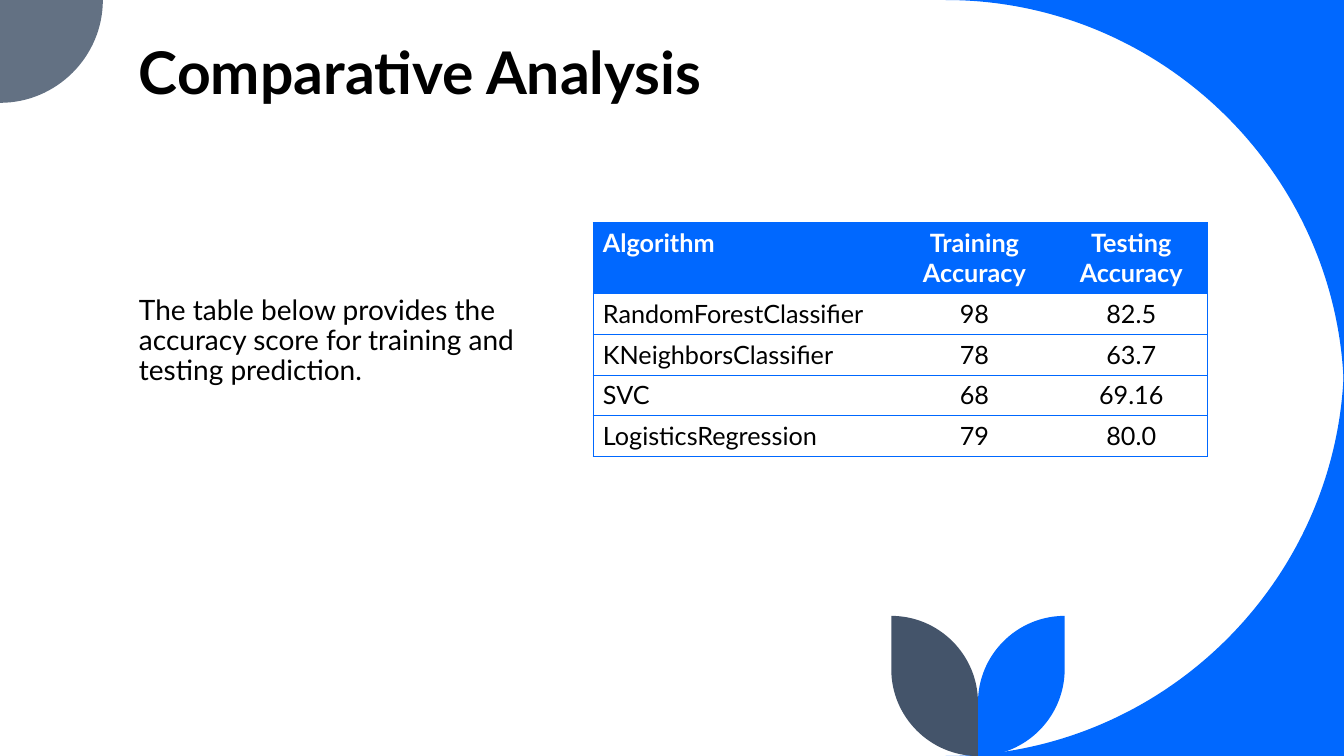
from dataclasses import dataclass

import pptx
import pptx.dml.color
import pptx.enum.text
import pptx.oxml
import pptx.oxml.ns
import pptx.util

Inches = pptx.util.Inches
Pt = pptx.util.Pt
ALIGN = pptx.enum.text.PP_ALIGN
ANCHOR = pptx.enum.text.MSO_ANCHOR

FONT = "Lato"
BLUE, SLATE, GRAY = "0068FF", "44546A", "637183"
BLACK, WHITE = "000000", "FFFFFF"
WIDTH, HEIGHT = 13.33, 7.5

Point = tuple[float, float]
Step = tuple[Point, ...]  # one point for a line, three for a Bézier curve


@dataclass
class Outline:
    color: str
    start: Point
    steps: list[Step]


@dataclass
class Column:
    heading: str
    width: float
    align: ALIGN
    values: list[str]


def rgb(color: str) -> pptx.dml.color.RGBColor:
    return pptx.dml.color.RGBColor.from_string(color)


def quarter(start: Point, corner: Point, end: Point) -> Step:
    """A quarter circle from start to end, bulging toward corner."""
    def control(point: Point) -> Point:
        x, y = (p + 0.55 * (c - p) for p, c in zip(point, corner))
        return x, y
    return control(start), control(end), end


def leaf(color: str, stem: float, side: int) -> Outline:
    """A leaf standing on the bottom edge, right (1) or left (-1) of the stem."""
    radius, top = 0.86, 6.11
    tip = stem + side * radius
    shoulder, base = (tip, HEIGHT - radius), (stem, HEIGHT)
    inner = (stem, top + radius)
    return Outline(color, (tip, top), [
        (shoulder,), quarter(shoulder, (tip, HEIGHT), base),
        (inner,), quarter(inner, (stem, top), (tip, top))])


def add_outline(slide, outline: Outline) -> None:
    x, y = outline.start
    builder = slide.shapes.build_freeform(Inches(x), Inches(y))
    builder.add_line_segments(
        [(Inches(x), Inches(y)) for step in outline.steps for x, y in step], close=True)
    sp = builder.convert_to_shape()
    sp.shadow.inherit = False
    sp.fill.solid()
    sp.fill.fore_color.rgb = rgb(outline.color)
    sp.line.fill.background()

    # Merge the three segments of each curve into one Bézier element
    segments = iter(sp.element.xpath(".//a:lnTo"))
    for step in outline.steps:
        parts = [next(segments) for _ in step]
        if len(parts) == 3:
            curve = pptx.oxml.parse_xml(f'<a:cubicBezTo {pptx.oxml.ns.nsdecls("a")}/>')
            parts[0].addprevious(curve)
            for part in parts:
                curve.append(part[0])
                part.getparent().remove(part)


def write(tf, text: str, *, size: float, color: str = BLACK, bold: bool = False,
          align: ALIGN = ALIGN.LEFT, spacing: float = 1.0, before: float = 0) -> None:
    p = tf.paragraphs[0]
    p.alignment = align
    p.line_spacing = spacing
    p.space_before = Pt(before)
    r = p.add_run()
    r.text = text
    r.font.name = FONT
    r.font.size = Pt(size)
    r.font.bold = bold
    r.font.color.rgb = rgb(color)


def add_text(slide, box: tuple[float, float, float, float], text: str,
             anchor: ANCHOR = ANCHOR.TOP, **style) -> None:
    tf = slide.shapes.add_textbox(*map(Inches, box)).text_frame
    tf.word_wrap = True
    tf.vertical_anchor = anchor
    write(tf, text, **style)


def set_borders(cell, visible: str) -> None:
    """Draw the sides named in visible (L, R, T, B) and hide the others."""
    tc_pr = cell._tc.get_or_add_tcPr()
    for i, side in enumerate("LRTB"):
        fill = (f'<a:solidFill><a:srgbClr val="{BLUE}"/></a:solidFill>'
                if side in visible else "<a:noFill/>")
        tc_pr.insert(i, pptx.oxml.parse_xml(
            f'<a:ln{side} {pptx.oxml.ns.nsdecls("a")} w="{Pt(0.5)}">{fill}</a:ln{side}>'))


def add_score_table(slide, columns: list[Column]) -> None:
    header_height, body_height = 0.7, 1.62
    body_rows, last = len(columns[0].values), len(columns) - 1
    table = slide.shapes.add_table(
        body_rows + 1, len(columns), Inches(5.88), Inches(2.21),
        Inches(sum(c.width for c in columns)),
        Inches(header_height + body_height)).table
    table.horz_banding = False
    for i, row in enumerate(table.rows):
        row.height = Inches(body_height / body_rows if i else header_height)
    for j, column in enumerate(columns):
        table.columns[j].width = Inches(column.width)
        for i, text in enumerate([column.heading, *column.values]):
            cell, header = table.cell(i, j), i == 0
            if header:
                cell.fill.solid()
                cell.fill.fore_color.rgb = rgb(BLUE)
            else:
                cell.fill.background()
            set_borders(cell, "TB" + "L" * (j == 0) + "R" * (j == last))
            write(cell.text_frame, text, size=18, bold=header,
                  color=WHITE if header else BLACK, align=column.align)


def main() -> None:
    prs = pptx.Presentation()
    prs.slide_width, prs.slide_height = Inches(WIDTH), Inches(HEIGHT)
    slide = prs.slides.add_slide(prs.slide_layouts[6])

    # Curved corners and leaves
    big, small, stem = 3.95, 1.02, 9.7
    left, low = WIDTH - big, HEIGHT - big
    for outline in [
        Outline(BLUE, (WIDTH, 0), [
            ((left, 0),), quarter((left, 0), (WIDTH, 0), (WIDTH, big))]),
        Outline(BLUE, (WIDTH, low), [
            quarter((WIDTH, low), (WIDTH, HEIGHT), (left, HEIGHT)), ((WIDTH, HEIGHT),)]),
        Outline(GRAY, (0, 0), [
            ((small, 0),), quarter((small, 0), (small, small), (0, small))]),
        leaf(BLUE, stem, 1),
        leaf(SLATE, stem, -1),
    ]:
        add_outline(slide, outline)

    # Title and introduction
    add_text(slide, (1.28, 0.15, 10.5, 0.95), "Comparative Analysis",
             anchor=ANCHOR.BOTTOM, size=42, bold=True, spacing=0.8)
    add_text(slide, (1.28, 2.89, 4.27, 3.64),
             "The table below provides the accuracy score for training and testing prediction.",
             size=20, spacing=0.9, before=10)

    # Accuracy scores
    add_score_table(slide, [
        Column("Algorithm", 2.98, ALIGN.LEFT,
               ["RandomForestClassifier", "KNeighborsClassifier", "SVC", "LogisticsRegression"]),
        Column("Training Accuracy", 1.61, ALIGN.CENTER, ["98", "78", "68", "79"]),
        Column("Testing Accuracy", 1.5, ALIGN.CENTER, ["82.5", "63.7", "69.16", "80.0"]),
    ])

    prs.save("out.pptx")


if __name__ == "__main__":
    main()
